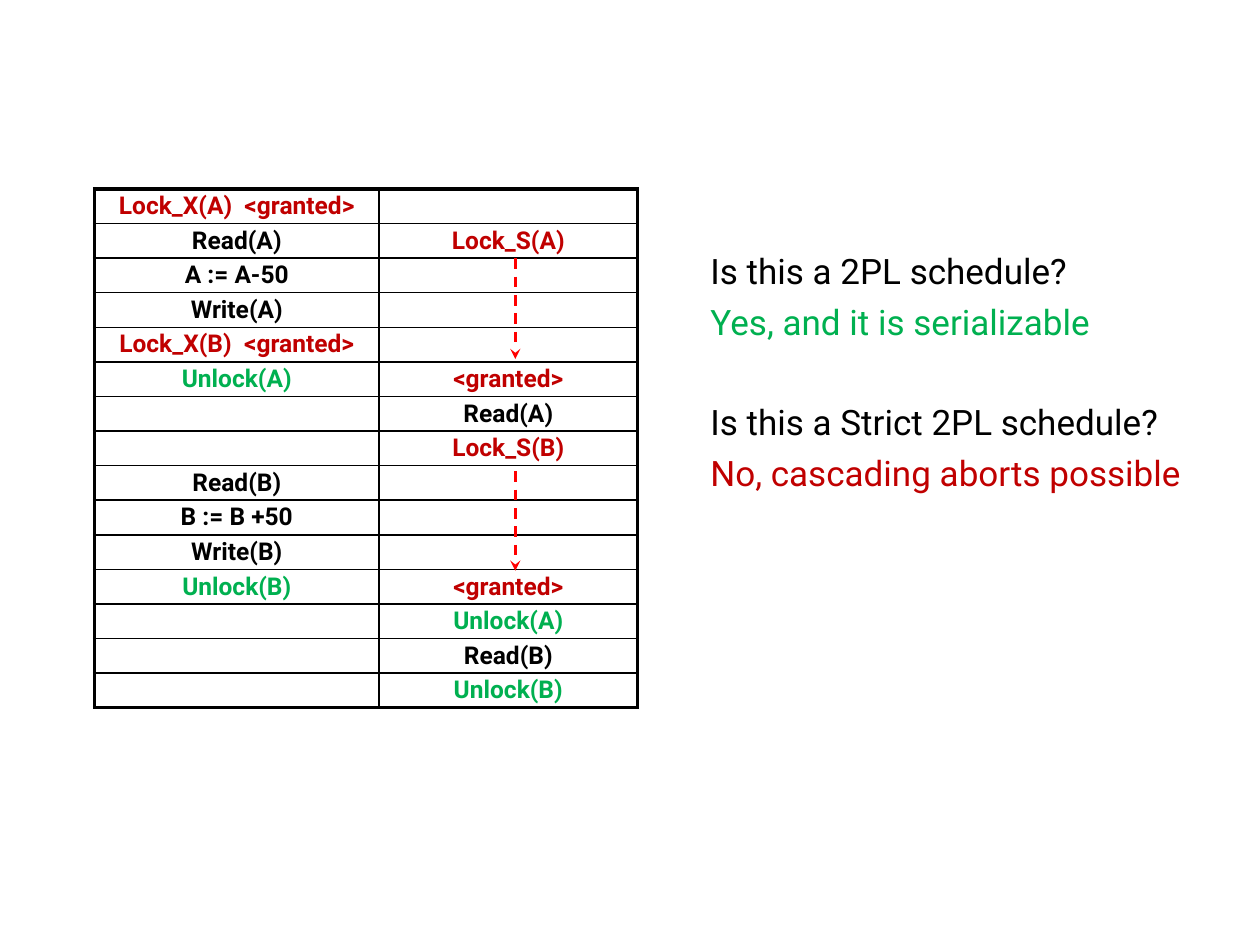
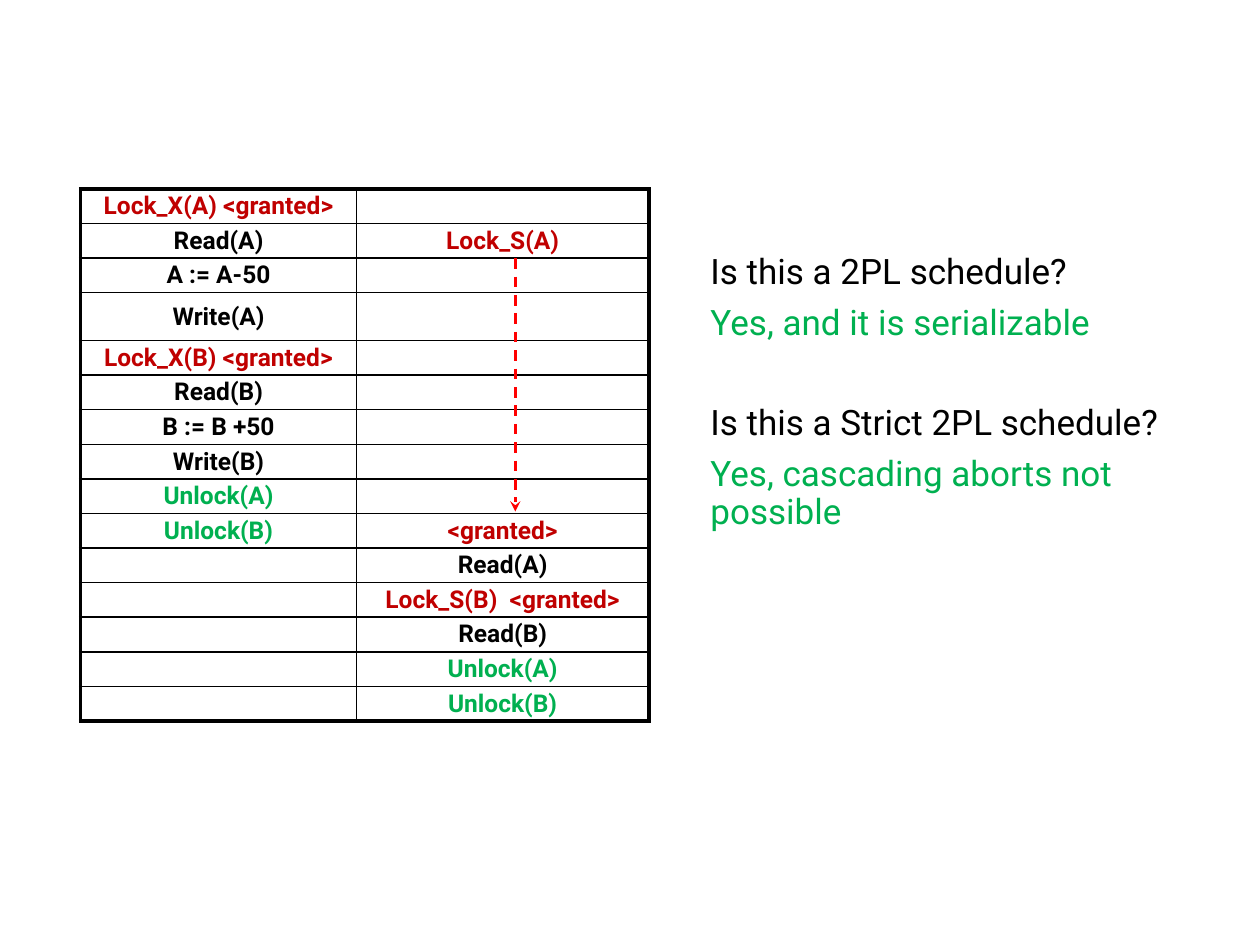
from lxml import etree
from pptx import Presentation
from pptx.dml.color import RGBColor
from pptx.enum.dml import MSO_LINE
from pptx.enum.shapes import MSO_CONNECTOR
from pptx.enum.text import MSO_ANCHOR, PP_ALIGN
from pptx.oxml.ns import qn
from pptx.util import Inches, Pt

DASH = MSO_LINE.DASH
STRAIGHT = MSO_CONNECTOR.STRAIGHT
MIDDLE = MSO_ANCHOR.MIDDLE
CENTER = PP_ALIGN.CENTER

FONT = "Roboto"
BLACK, RED, GREEN, ARROW_RED = "000000", "C00000", "00B050", "FF0000"
CELL_SIZE = 14
OUTER, INNER = 2.25, 1
TABLE_TOP = 1.5
ROW_HEIGHT = 4.12 / 15
LINE_GAP, BLOCK_GAP = 7.2, 36

LATE_UNLOCK = [
    ("Lock_X(A)  <granted>", ""),
    ("Read(A)", "Lock_S(A)"),
    ("A := A-50", ""),
    ("Write(A)", ""),
    ("Lock_X(B)  <granted>", ""),
    ("Unlock(A)", "<granted>"),
    ("", "Read(A)"),
    ("", "Lock_S(B)"),
    ("Read(B)", ""),
    ("B := B +50", ""),
    ("Write(B)", ""),
    ("Unlock(B)", "<granted>"),
    ("", "Unlock(A)"),
    ("", "Read(B)"),
    ("", "Unlock(B)"),
]
STRICT = [
    ("Lock_X(A) <granted>", ""),
    ("Read(A)", "Lock_S(A)"),
    ("A := A-50", ""),
    ("Write(A)", ""),
    ("Lock_X(B) <granted>", ""),
    ("Read(B)", ""),
    ("B := B +50", ""),
    ("Write(B)", ""),
    ("Unlock(A)", ""),
    ("Unlock(B)", "<granted>"),
    ("", "Read(A)"),
    ("", "Lock_S(B)  <granted>"),
    ("", "Read(B)"),
    ("", "Unlock(A)"),
    ("", "Unlock(B)"),
]


def rgb(value):
    """Turn a hex string into a colour."""
    return RGBColor.from_string(value)


def step_color(text):
    """Colour a schedule step by what it does to a lock."""
    if text.startswith("Unlock"):
        return GREEN
    return RED if text.startswith(("Lock", "<granted>")) else BLACK


def style(p, size, color, bold=False):
    """Set the font of a paragraph."""
    p.font.name = FONT
    p.font.size = Pt(size)
    p.font.bold = bold
    p.font.color.rgb = rgb(color)


def set_borders(cell, widths):
    """Draw black cell borders from a map of side to width in points."""
    tc_pr = cell._tc.get_or_add_tcPr()
    for side, width in widths.items():
        ln = etree.SubElement(tc_pr, qn(f"a:ln{side}"), w=str(Pt(width)))
        fill = etree.SubElement(ln, qn("a:solidFill"))
        etree.SubElement(fill, qn("a:srgbClr"), val=BLACK)


def fill_cell(cell, text):
    """Write one schedule step into a cell."""
    cell.margin_left = cell.margin_right = cell.margin_top = cell.margin_bottom = 0
    cell.vertical_anchor = MIDDLE
    cell.fill.background()
    p = cell.text_frame.paragraphs[0]
    p.alignment = CENTER
    style(p, CELL_SIZE, step_color(text), True)
    if text:
        p.add_run().text = text
    else:
        etree.SubElement(p._p, qn("a:endParaRPr"), sz=str(CELL_SIZE * 100))


def add_schedule(slide, left, widths, steps, tall_rows=()):
    """Add the two-transaction schedule table."""
    heights = [0.38 if i in tall_rows else ROW_HEIGHT for i in range(len(steps))]
    table = slide.shapes.add_table(
        len(steps), len(widths), Inches(left), Inches(TABLE_TOP),
        Inches(sum(widths)), Inches(sum(heights))).table
    table.first_row = table.horz_banding = False
    for column, width in zip(table.columns, widths):
        column.width = Inches(width)
    last_row, last_col = len(steps) - 1, len(widths) - 1
    for i, step in enumerate(steps):
        table.rows[i].height = Inches(heights[i])
        for j, text in enumerate(step):
            cell = table.cell(i, j)
            set_borders(cell, {
                "L": OUTER if j == 0 else INNER,
                "R": OUTER if j == last_col else INNER,
                "T": OUTER if i == 0 else INNER,
                "B": OUTER if i == last_row else INNER,
            })
            fill_cell(cell, text)


def add_questions(slide, height, strict_answer, strict_color):
    """Add the two questions with their answers."""
    lines = [
        ("Is this a 2PL schedule?", BLACK, LINE_GAP),
        ("Yes, and it is serializable", GREEN, LINE_GAP),
        ("Is this a Strict 2PL schedule?", BLACK, BLOCK_GAP),
        (strict_answer, strict_color, LINE_GAP),
    ]
    tf = slide.shapes.add_textbox(
        Inches(5.54), Inches(1.92), Inches(4), Inches(height)).text_frame
    tf.word_wrap = True
    tf.margin_left = tf.margin_right = tf.margin_top = tf.margin_bottom = Inches(0.1)
    for i, (text, color, gap) in enumerate(lines):
        p = tf.add_paragraph() if i else tf.paragraphs[0]
        p.add_run().text = text
        p.line_spacing = 0.9
        p.space_before = Pt(gap)
        style(p, 20, color)


def add_wait_arrow(slide, top, bottom):
    """Add the dashed arrow from a lock request to its grant."""
    x = Inches(4.09)
    arrow = slide.shapes.add_connector(STRAIGHT, x, Inches(top), x, Inches(bottom))
    arrow.line.color.rgb = rgb(ARROW_RED)
    arrow.line.width = Pt(1.5)
    arrow.line.dash_style = DASH
    etree.SubElement(arrow.line._get_or_add_ln(), qn("a:tailEnd"), type="stealth")
    etree.SubElement(arrow._element.spPr, qn("a:effectLst"))


def main():
    """Build both schedule slides."""
    prs = Presentation()
    prs.slide_width, prs.slide_height = Inches(10), Inches(7.5)
    blank = prs.slide_layouts[6]

    slide = prs.slides.add_slide(blank)
    add_schedule(slide, 0.75, (2.26, 2.05), LATE_UNLOCK)
    add_questions(slide, 2.52, "No, cascading aborts possible", RED)
    add_wait_arrow(slide, 2.05, 2.85)
    add_wait_arrow(slide, 3.74, 4.53)

    slide = prs.slides.add_slide(blank)
    add_schedule(slide, 0.64, (2.19, 2.32), STRICT, tall_rows=(3,))
    add_questions(slide, 2.86, "Yes, cascading aborts not possible", GREEN)
    add_wait_arrow(slide, 2.05, 4.06)

    prs.save("out.pptx")


main()
